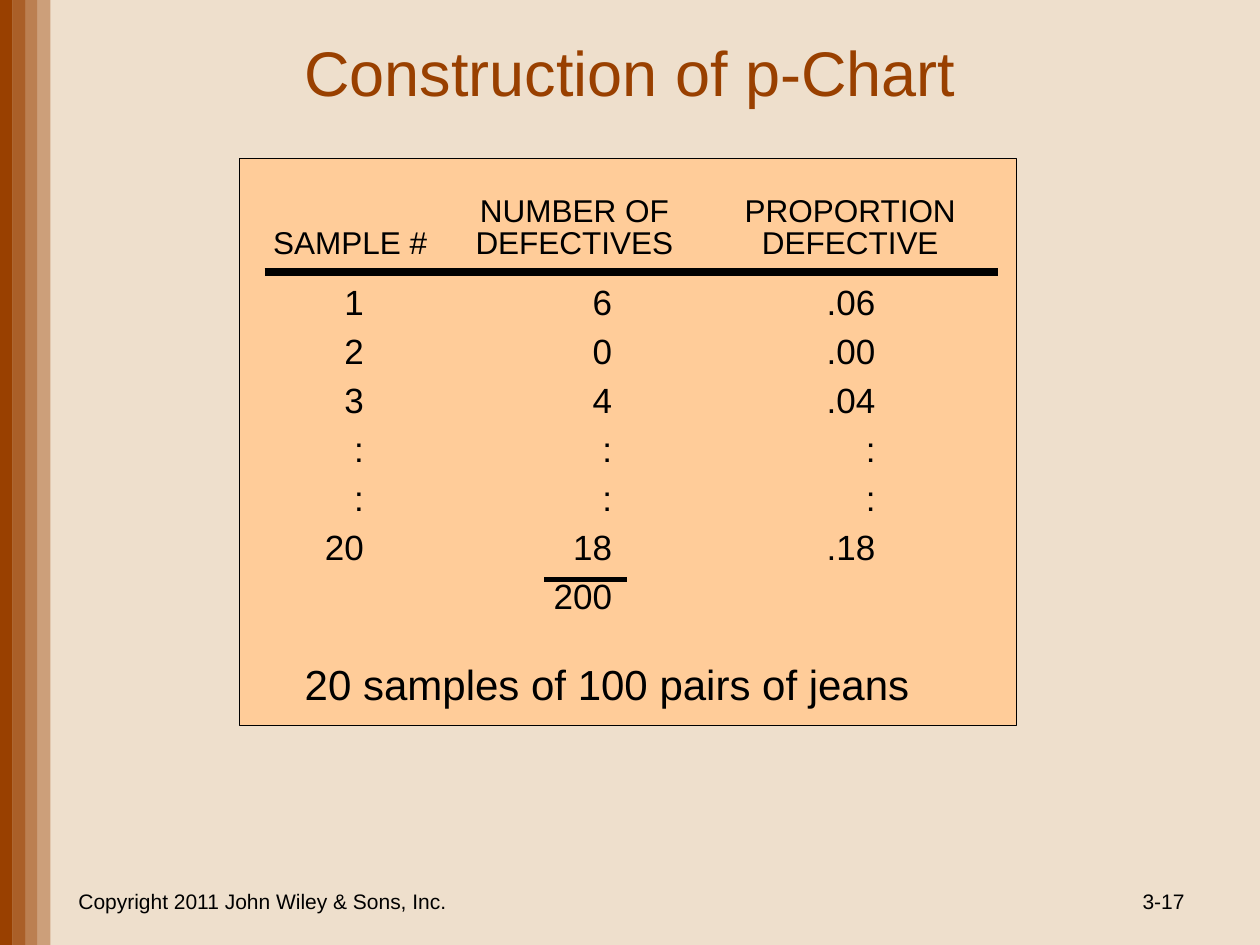
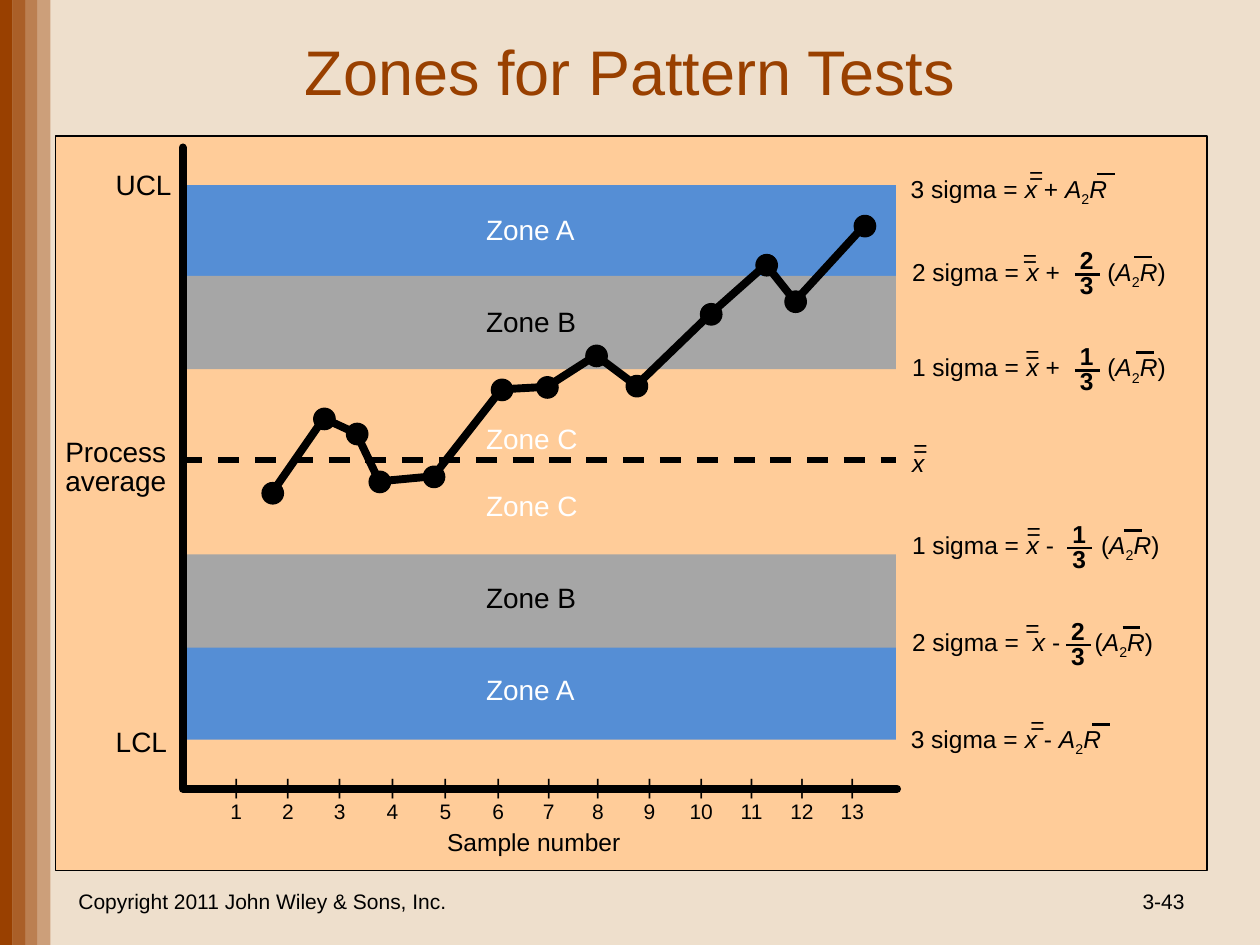
"""Build two quality-control slides: a p-chart table and the zones for pattern tests."""
from dataclasses import dataclass
from typing import NamedTuple, Optional, Sequence, Union

from lxml.etree import SubElement
from pptx import Presentation
from pptx.dml.color import RGBColor
from pptx.enum.dml import MSO_LINE
from pptx.enum.shapes import MSO_CONNECTOR, MSO_SHAPE
from pptx.enum.text import MSO_ANCHOR as ANCHOR, MSO_AUTO_SIZE as AUTO, PP_ALIGN as ALIGN
from pptx.oxml.ns import qn
from pptx.util import Pt

PX = 9144
FONT = "Arial"
RUST = RGBColor(0x99, 0x40, 0x00)
SAND = RGBColor(0xEE, 0xDF, 0xCC)
PEACH = RGBColor(0xFF, 0xCC, 0x99)
BLUE = RGBColor(0x55, 0x8E, 0xD5)
GRAY = RGBColor(0xA6, 0xA6, 0xA6)
BLACK = RGBColor(0, 0, 0)
WHITE = RGBColor(0xFF, 0xFF, 0xFF)


class Box(NamedTuple):
    left: int
    top: int
    width: int
    height: int


class Run(NamedTuple):
    text: str
    italic: bool = False
    subscript: bool = False


class Tab(NamedTuple):
    pos: int
    align: str


class Zone(NamedTuple):
    name: str
    top: int
    fill: RGBColor
    color: RGBColor
    label_tops: Sequence[int]
    height: int = 74


class Formula(NamedTuple):
    sigma: int
    sign: str
    top: int
    left: int
    width: int
    equals_left: int
    bar_left: int
    numerator: str = ""
    fraction_left: int = 0
    stops: Sequence[int] = ()


@dataclass(frozen=True)
class Style:
    size: int
    color: RGBColor = BLACK
    align: ALIGN = ALIGN.LEFT
    anchor: ANCHOR = ANCHOR.MIDDLE
    wrap: bool = False
    grow: bool = True
    bold: bool = False
    line_spacing: Optional[float] = None
    gap: int = 0
    tabs: Sequence[Tab] = ()
    fill: Optional[RGBColor] = None


Line = Union[str, Sequence[Run]]

TITLE = Style(36, RUST, ALIGN.CENTER, wrap=True, grow=False)
COPYRIGHT = Style(12, align=ALIGN.CENTER, wrap=True, grow=False)
PAGE = Style(12, align=ALIGN.RIGHT, wrap=True, grow=False)
HEADER = Style(18, line_spacing=0.85, fill=PEACH, tabs=(Tab(239, "ctr"), Tab(458, "ctr")))
ROWS = Style(20, anchor=ANCHOR.TOP, wrap=True, gap=4, fill=PEACH,
             tabs=(Tab(42, "r"), Tab(239, "r"), Tab(448, "r")))
NOTE = Style(24, fill=PEACH)
LIMIT = Style(16, anchor=ANCHOR.TOP)
AVERAGE = Style(16, wrap=True, line_spacing=0.85)
MATH = Style(14)
EQUALS = Style(14, align=ALIGN.CENTER)
FRACTION = Style(14, align=ALIGN.CENTER, bold=True, line_spacing=0.85)
TICK = Style(12, align=ALIGN.CENTER)

SAMPLES = (("1", "6", ".06"), ("2", "0", ".00"), ("3", "4", ".04"), (":", ":", ":"),
           (":", ":", ":"), ("20", "18", ".18"), ("", "200"))

ZONES = (
    Zone("Zone C", 287, PEACH, WHITE, (330, 383), 162),
    Zone("Zone A", 147, BLUE, WHITE, (164,)),
    Zone("Zone A", 513, BLUE, WHITE, (529,)),
    Zone("Zone B", 219, GRAY, BLACK, (237,)),
    Zone("Zone B", 440, GRAY, BLACK, (456,)),
)

FORMULAS = (
    Formula(3, "+", 134, 713, 184, 807, 871),
    Formula(3, "-", 571, 713, 179, 808, 867),
    Formula(2, "+", 200, 714, 224, 802, 900, "2", 847, (91, 155)),
    Formula(2, "-", 494, 714, 214, 804, 891, "2", 840, (96, 145)),
    Formula(1, "+", 276, 714, 224, 804, 902, "1", 847, (91, 155)),
    Formula(1, "-", 417, 714, 218, 805, 892, "1", 841, (91, 150)),
)

SERIES = ((216, 391), (257, 332), (283, 344), (301, 382), (344, 378), (398, 309), (434, 307),
          (473, 282), (505, 306), (564, 249), (608, 210), (631, 239), (686, 179))
AXES = ((145, 117), (145, 626), (712, 626))
TICK_CENTERS = (187, 228, 269, 311, 353, 395, 435, 474, 515, 556, 596, 636, 676)


def emu(box: Sequence[int]) -> list[int]:
    """Turn px lengths into EMU."""
    return [v * PX for v in box]


def add_block(slide, box: Box, fill: RGBColor, outlined: bool = False,
              kind: MSO_SHAPE = MSO_SHAPE.RECTANGLE, alpha: int = 100):
    """Add a filled preset shape, with a thin black outline if wanted."""
    sp = slide.shapes.add_shape(kind, *emu(box))
    sp.shadow.inherit = False
    sp.fill.solid()
    sp.fill.fore_color.rgb = fill
    if alpha < 100:
        clr = sp._element.spPr.find(".//" + qn("a:srgbClr"))
        SubElement(clr, qn("a:alpha"), val=str(alpha * 1000))
    if outlined:
        sp.line.color.rgb = BLACK
        sp.line.width = Pt(0.75)
    else:
        sp.line.fill.background()
    return sp


def add_text(slide, box: Box, lines: Sequence[Line], style: Style) -> None:
    """Add a text box with one paragraph per line."""
    sp = slide.shapes.add_textbox(*emu(box))
    if style.fill is not None:
        sp.fill.solid()
        sp.fill.fore_color.rgb = style.fill
    tf = sp.text_frame
    tf.word_wrap = style.wrap
    tf.auto_size = AUTO.SHAPE_TO_FIT_TEXT if style.grow else AUTO.NONE
    tf.vertical_anchor = style.anchor
    for i, line in enumerate(lines):
        p = tf.add_paragraph() if i else tf.paragraphs[0]
        p.alignment = style.align
        if style.line_spacing:
            p.line_spacing = style.line_spacing
        if i and style.gap:
            p.space_before = Pt(style.gap)
        if style.tabs:
            tab_list = SubElement(p._p.get_or_add_pPr(), qn("a:tabLst"))
            for tab in style.tabs:
                SubElement(tab_list, qn("a:tab"), pos=str(tab.pos * PX), algn=tab.align)
        p.font.name = FONT
        p.font.size = Pt(style.size)
        p.font.bold = style.bold
        p.font.color.rgb = style.color
        for part in [Run(line)] if isinstance(line, str) else line:
            r = p.add_run()
            r.text = part.text
            if part.italic:
                r.font.italic = True
            if part.subscript:
                r._r.get_or_add_rPr().set("baseline", "-25000")


def add_rule(slide, left: int, top: int, length: int, weight: float, dashed: bool = False) -> None:
    """Add a horizontal black line."""
    cx = slide.shapes.add_connector(MSO_CONNECTOR.STRAIGHT,
                                    *emu((left, top, left + length, top)))
    cx.line.color.rgb = BLACK
    cx.line.width = Pt(weight)
    if dashed:
        cx.line.dash_style = MSO_LINE.DASH
    SubElement(cx._element.spPr, qn("a:effectLst"))


def add_polyline(slide, points: Sequence[tuple[int, int]]) -> None:
    """Add an open, thick black line with round ends and joins."""
    builder = slide.shapes.build_freeform(*points[0], scale=PX)
    builder.add_line_segments(points[1:], close=False)
    sp = builder.convert_to_shape()
    sp.shadow.inherit = False
    sp.fill.background()
    sp.line.color.rgb = BLACK
    sp.line.width = Pt(4.5)
    ln = sp._element.spPr.find(qn("a:ln"))
    ln.set("cap", "rnd")
    SubElement(ln, qn("a:round"))


def add_base(prs, title: str, title_box: Box, page: str):
    """Add a slide with background, side bands, title and footer."""
    slide = prs.slides.add_slide(prs.slide_layouts[6])
    slide.background.fill.solid()
    slide.background.fill.fore_color.rgb = SAND
    for i in range(4):
        add_block(slide, Box(10 * i, 0, 10, 750), RUST, alpha=100 - 20 * i)
    add_text(slide, title_box, [title], TITLE)
    add_text(slide, Box(50, 695, 317, 40), ["Copyright 2011 John Wiley & Sons, Inc."], COPYRIGHT)
    add_text(slide, Box(717, 695, 233, 40), [page], PAGE)
    return slide


def add_formula(slide, f: Formula) -> None:
    """Add a sigma formula with its double bar, R bar and optional fraction."""
    product = [Run("A", italic=True), Run("2", subscript=True), Run("R", italic=True)]
    x = Run("x", italic=True)
    if f.numerator:
        runs = [Run(f"{f.sigma} sigma =\t"), x, Run(f" {f.sign}\t("), *product, Run(")")]
    else:
        runs = [Run(f"{f.sigma} sigma = "), x, Run(f" {f.sign} "), *product]
    style = Style(14, tabs=[Tab(stop, "l") for stop in f.stops])
    add_text(slide, Box(f.left, f.top, f.width, 34), [runs], style)
    add_text(slide, Box(f.equals_left, f.top - 12, 31, 33), ["="], EQUALS)
    add_rule(slide, f.bar_left, f.top + 4, 14, 1.5)
    if f.numerator:
        add_text(slide, Box(f.fraction_left, f.top - 7, 31, 50), [f.numerator, "3"], FRACTION)
        add_rule(slide, f.fraction_left + 6, f.top + 18, 20, 1.5)


def build_p_chart(prs) -> None:
    """Build the slide with the table of defectives."""
    slide = add_base(prs, "Construction of p-Chart", Box(150, -2, 700, 117), "3-17")
    add_block(slide, Box(190, 126, 617, 450), PEACH, outlined=True)
    add_text(slide, Box(232, 518, 505, 50), ["20 samples of 100 pairs of jeans"], NOTE)
    add_text(slide, Box(207, 151, 562, 61),
             ["\tNUMBER OF\tPROPORTION", "SAMPLE #\tDEFECTIVES\tDEFECTIVE"], HEADER)
    add_text(slide, Box(237, 218, 548, 286),
             ["".join("\t" + value for value in row) for row in SAMPLES], ROWS)
    add_rule(slide, 432, 460, 66, 3)
    add_rule(slide, 210, 216, 582, 4.5)


def build_zones(prs) -> None:
    """Build the slide with the zoned control chart."""
    slide = add_base(prs, "Zones for Pattern Tests", Box(111, 13, 778, 85), "3-43")
    add_block(slide, Box(44, 108, 914, 583), PEACH, outlined=True)
    for zone in ZONES:
        add_block(slide, Box(147, zone.top, 564, zone.height), zone.fill)
    for zone in ZONES:
        for top in zone.label_tops:
            add_text(slide, Box(376, top, 96, 37), [zone.name],
                     Style(16, zone.color, anchor=ANCHOR.TOP, wrap=True))
    add_text(slide, Box(82, 128, 66, 37), ["UCL"], LIMIT)
    add_text(slide, Box(82, 570, 61, 37), ["LCL"], LIMIT)
    add_rule(slide, 144, 365, 567, 3, dashed=True)
    add_text(slide, Box(42, 344, 112, 56), ["Process average"], AVERAGE)
    add_polyline(slide, SERIES)
    for formula in FORMULAS:
        add_formula(slide, formula)
    add_text(slide, Box(714, 351, 31, 33), [[Run("x", italic=True)]], MATH)
    add_text(slide, Box(715, 339, 31, 33), ["="], EQUALS)
    add_text(slide, Box(345, 651, 158, 34), ["Sample number"], MATH)
    for number, center in enumerate(TICK_CENTERS, 1):
        width = 29 if number < 10 else 39
        add_text(slide, Box(center - width // 2, 609, width, 50), ["|", str(number)], TICK)
    add_polyline(slide, AXES)
    for x, y in SERIES:
        add_block(slide, Box(x - 8, y - 8, 17, 17), BLACK, outlined=True, kind=MSO_SHAPE.OVAL)


def main() -> None:
    """Build and save the presentation."""
    prs = Presentation()
    prs.slide_width, prs.slide_height = emu((1000, 750))
    build_p_chart(prs)
    build_zones(prs)
    prs.save("out.pptx")


if __name__ == "__main__":
    main()
